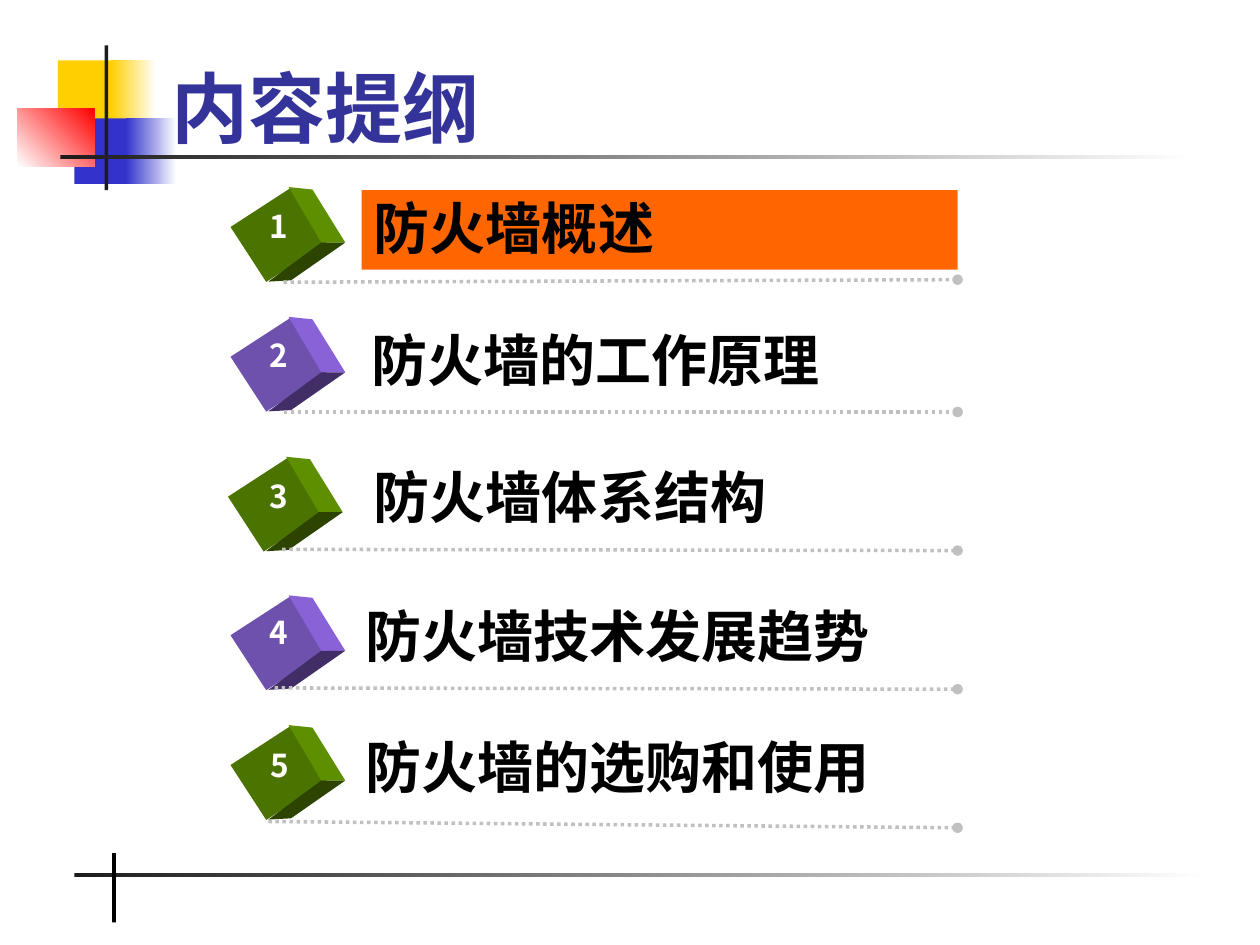
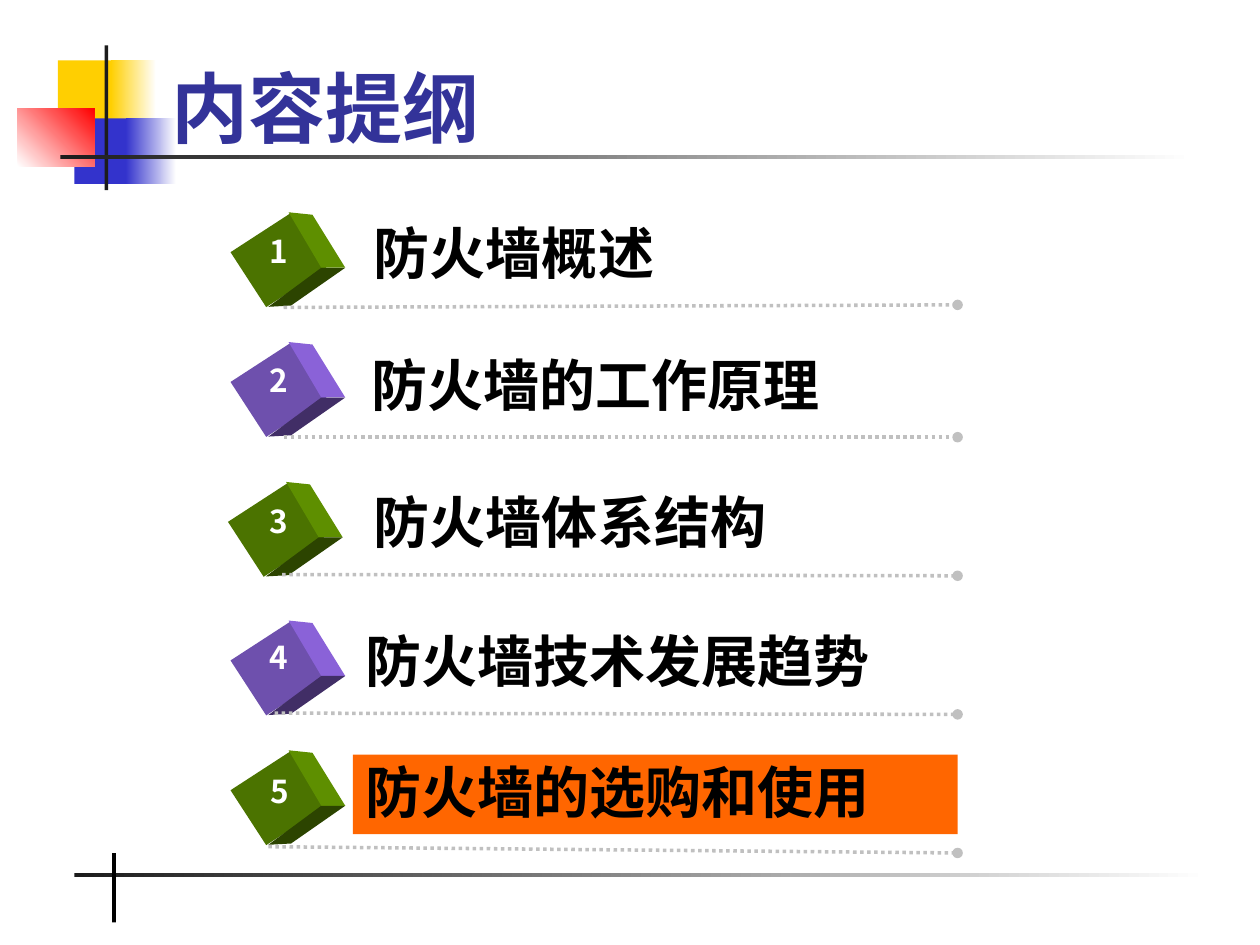
"""Build two firewall outline slides, each with its current topic marked."""
from lxml.etree import SubElement
from pptx import Presentation
from pptx.dml.color import RGBColor
from pptx.enum.dml import MSO_LINE
from pptx.enum.shapes import MSO_CONNECTOR, MSO_SHAPE
from pptx.enum.text import MSO_ANCHOR, PP_ALIGN
from pptx.oxml.ns import qn
from pptx.util import Inches, Pt

deck = Presentation()
deck.slide_width, deck.slide_height = Inches(10), Inches(7.5)
COL, ROW = deck.slide_width / 10, deck.slide_height / 7.5
hue = RGBColor.from_string

FACE = "Noto Sans CJK SC"
DARK, GOLD, BLUE, WHITE, MARK = "1C1C1C", "FFCF01", "3333CC", "FFFFFF", "FF6600"
GREEN = ("4B7300", "5E8F00", "2C4400")
PLUM = ("6E50AD", "8A62D8", "412E66")
SIDE = [(0.08, -0.38), (0.27, -0.36), (0.53, 0.06), (0.34, 0.06)]
BASE = [(0.34, 0.06), (0.53, 0.06), (0.1, 0.36), (-0.08, 0.37)]
RIGHT, WIDE, TALL = 7.6, 0.52, 0.57

LABEL = {"size": Pt(32), "bold": True, "name": FACE}
DIGIT = {"size": Pt(18), "bold": True, "name": FACE}
TITLE = {"size": Pt(44), "bold": True, "name": "Times New Roman"}
FRAME = {"vertical_anchor": MSO_ANCHOR.MIDDLE, "margin_bottom": Inches(0.1)}
HEAD = {"vertical_anchor": MSO_ANCHOR.BOTTOM, "margin_bottom": 0, "word_wrap": True}


def block(slide, place, tones=(), text="", form=None, ink="000000", align=PP_ALIGN.LEFT, **more):
    """Add a plain, graded or unfilled box, with text if given."""
    x, y, w, h = place
    spot = [int(x * COL), int(y * ROW), int(w * COL), int(h * ROW)]
    if tones:
        box = slide.shapes.add_shape(MSO_SHAPE.RECTANGLE, *spot)
        box.shadow.inherit = False
        box.line.fill.background()
    else:
        box = slide.shapes.add_textbox(*spot)
    if len(tones) == 1:
        box.fill.solid()
        box.fill.fore_color.rgb = hue(tones[0])
    elif tones:
        box.fill.gradient()
        box.fill.gradient_angle = more.pop("angle", 0)
        for stop, tone in zip(box.fill.gradient_stops, tones):
            stop.color.rgb = hue(tone)
    if text:
        write(box.text_frame, text, form, ink, align, {**FRAME, **more})
    return box


def write(frame, text, form, ink, align, setup):
    """Fill a text frame with one formatted line."""
    for key, value in setup.items():
        setattr(frame, key, value)
    line = frame.paragraphs[0]
    line.alignment = align
    run = line.add_run()
    run.text = text
    for key, value in form.items():
        setattr(run.font, key, value)
    run.font.color.rgb = hue(ink)
    SubElement(run._r.get_or_add_rPr(), qn("a:ea"), typeface=FACE)


plan = deck.slide_layouts[5]
slides = [deck.slides.add_slide(plan) for _ in range(2)]

bands = [
    ((0.46, 0.48, 0.48, 0.52), (GOLD,), 0),
    ((0.88, 0.48, 0.36, 0.52), (GOLD, WHITE), 0),
    ((0.59, 0.94, 0.46, 0.52), (BLUE,), 0),
    ((1, 0.94, 0.4, 0.52), (BLUE, WHITE), 0),
    ((0.14, 0.86, 0.61, 0.46), (WHITE, "FF0000"), 45),
    ((0.83, 0.36, 0.03, 1.15), (DARK,), 0),
    ((0.48, 1.23, 9, 0.03), (DARK, WHITE), 0),
    ((0.59, 6.93, 9, 0.03), (DARK, WHITE), 0),
    ((0.89, 6.77, 0.03, 0.55), ("000000",), 0),
]
for num, (place, tones, angle) in enumerate(bands, 100):
    band = block(slides[0], place, tones, angle=angle)
    band.element.xpath(".//p:cNvPr")[0].set("id", str(num))
    plan.shapes.element.append(band.element)

topics = [
    ("防火墙概述", 1.58, 1.95, 2.87, 1.51, 2.04, 1.62, (2.25, 2.24, 2.22)),
    ("防火墙的工作原理", 2.61, 1.95, 2.85, 2.56, 2.04, 2.64, (2.25, 3.27, 3.27)),
    ("防火墙体系结构", 3.72, 1.93, 2.87, 3.65, 2.04, 3.76, (2.24, 4.36, 4.37)),
    ("防火墙技术发展趋势", 4.82, 1.95, 2.8, 4.75, 2.04, 4.84, (2.18, 5.46, 5.47)),
    ("防火墙的选购和使用", 5.85, 1.95, 2.8, 5.79, 2.05, 5.9, (2.13, 6.52, 6.57)),
]

for slide, drop, now in zip(slides, (0, 0.2), (1, 5)):
    title = slide.shapes.title
    spot = {"left": 1.26 * COL, "top": 0.16 * ROW, "width": 8.52 * COL, "height": 1.05 * ROW}
    for key, value in spot.items():
        setattr(title, key, int(value))
    write(title.text_frame, "内容提纲", TITLE, "333399", PP_ALIGN.LEFT, HEAD)

    for num, (text, top, left, start, head, dig, peak, rule) in enumerate(topics, 1):
        tones = GREEN if num % 2 else PLUM
        cube = block(slide, (left, top + drop, WIDE, TALL), tones[:1])
        cube.rotation = 57
        mid = left + WIDE / 2, top + drop + TALL / 2
        for edge, tone in zip((SIDE, BASE), tones[1:]):
            dots = [(int((mid[0] + x) * COL), int((mid[1] + y) * ROW)) for x, y in edge]
            pen = slide.shapes.build_freeform(*dots[0])
            pen.add_line_segments(dots[1:])
            facet = pen.convert_to_shape()
            facet.shadow.inherit = False
            facet.fill.solid()
            facet.fill.fore_color.rgb = hue(tone)
            facet.line.fill.background()

        x, begin, end = rule
        line = slide.shapes.add_connector(
            MSO_CONNECTOR.STRAIGHT, int(x * COL), int((begin + drop) * ROW),
            int(RIGHT * COL), int((end + drop) * ROW))
        line.line.color.rgb = hue("C0C0C0")
        line.line.width = Pt(2)
        line.line.dash_style = MSO_LINE.ROUND_DOT
        SubElement(line.line._get_or_add_ln(), qn("a:tailEnd"), type="oval")
        SubElement(line.element.spPr, qn("a:effectLst"))

        block(slide, (start, head + drop, RIGHT - start, 0.63),
              (MARK,) if num == now else (), text, LABEL, word_wrap=True)
        block(slide, (dig, peak + drop, 0.33, 0.4), (), str(num), DIGIT, WHITE,
              PP_ALIGN.CENTER, word_wrap=False)

deck.save("out.pptx")
